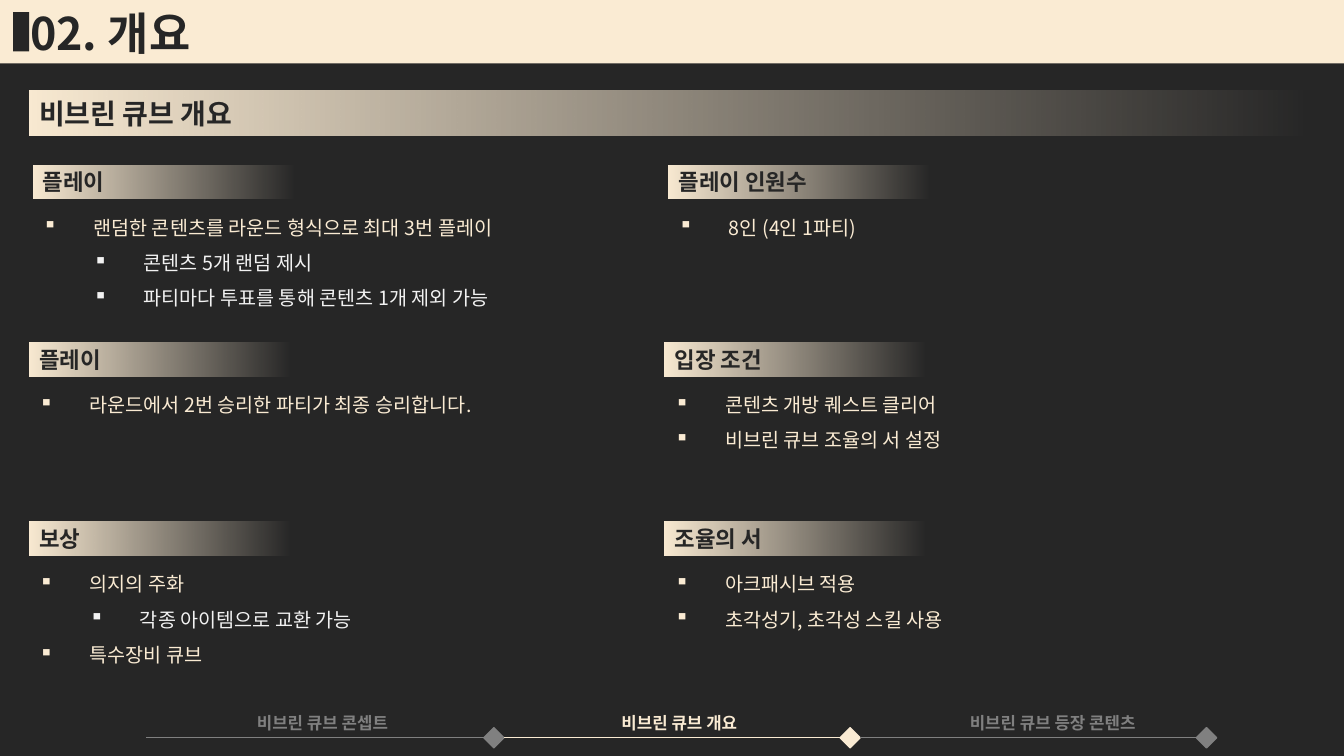
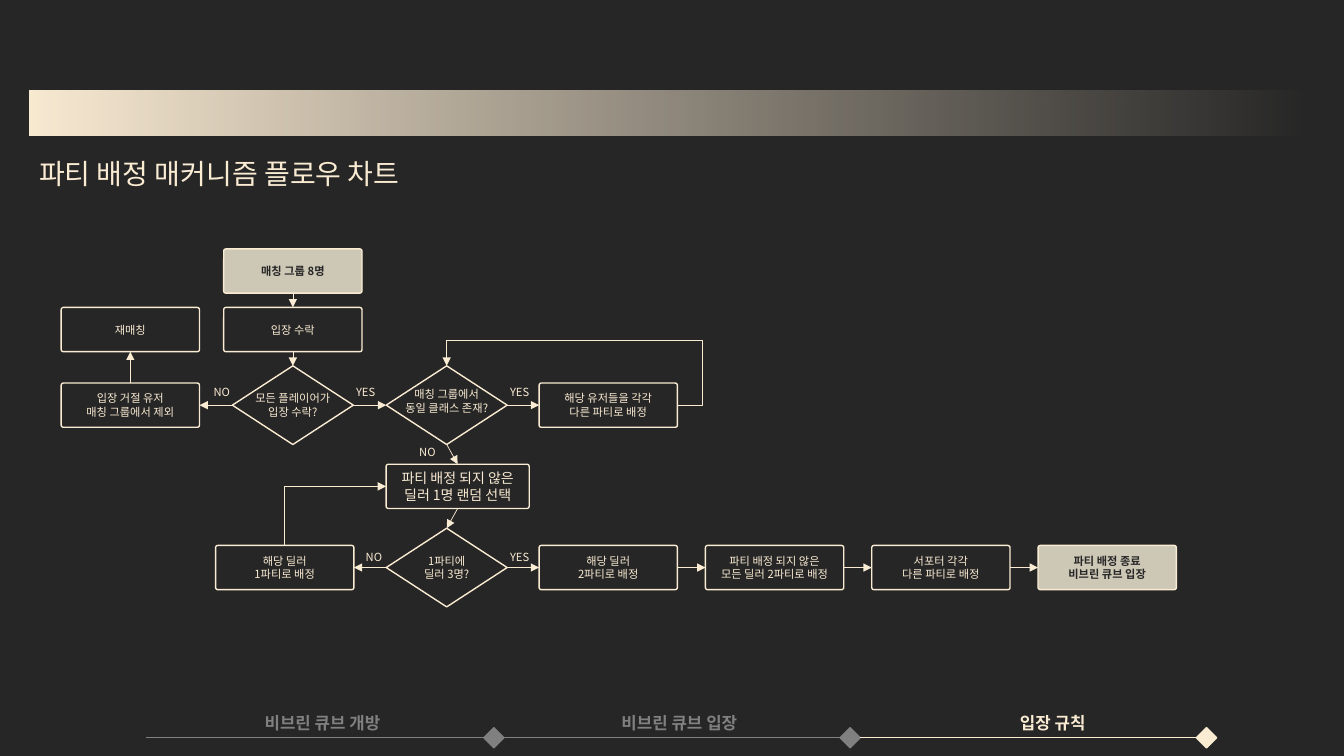
from dataclasses import dataclass

from lxml import etree
from pptx import Presentation
from pptx.dml.color import RGBColor
from pptx.enum.shapes import MSO_CONNECTOR, MSO_SHAPE
from pptx.enum.text import MSO_ANCHOR, PP_ALIGN
from pptx.oxml import parse_xml
from pptx.oxml.ns import nsdecls, qn
from pptx.util import Pt

RECT, ROUNDED, DIAMOND = MSO_SHAPE.RECTANGLE, MSO_SHAPE.ROUNDED_RECTANGLE, MSO_SHAPE.DIAMOND
STRAIGHT, ELBOW = MSO_CONNECTOR.STRAIGHT, MSO_CONNECTOR.ELBOW
LEFT, CENTER = PP_ALIGN.LEFT, PP_ALIGN.CENTER
TOP, MIDDLE = MSO_ANCHOR.TOP, MSO_ANCHOR.MIDDLE
SITE_TOP, SITE_LEFT, SITE_BOTTOM, SITE_RIGHT = range(4)


@dataclass(frozen=True)
class Theme:
    font: str = "Noto Sans CJK KR"
    dark: str = "262626"
    cream: str = "FAEBD3"
    sand: str = "CDC7B6"
    grey: str = "808080"
    pale: str = "F2F2F2"
    title: int = 32
    banner: int = 20
    heading: int = 16
    body: int = 14
    footer: int = 12
    emphasis: int = 10
    node: int = 8


theme = Theme()


def add_block(slide, kind, box, text="", size=theme.body, color=theme.cream, bold=False,
              align=LEFT, anchor=MIDDLE, fill=None, line=None, wrap=True):
    """Add a shape, or a text box when kind is None; fill "fade" runs from cream to clear."""
    area = [Pt(length) for length in box]
    if kind is None:
        block = slide.shapes.add_textbox(*area)
    else:
        block = slide.shapes.add_shape(kind, *area)
        block.shadow.inherit = False
        if kind == ROUNDED:
            block.adjustments[0] = 0.05
        if line:
            block.line.color.rgb = RGBColor.from_string(line)
            block.line.width = Pt(1)
        else:
            block.line.fill.background()
        if fill == "fade":
            block._element.spPr.find(qn("a:prstGeom")).addnext(parse_xml(
                f'<a:gradFill {nsdecls("a")} rotWithShape="1"><a:gsLst>'
                f'<a:gs pos="0"><a:srgbClr val="{theme.cream}"/></a:gs>'
                f'<a:gs pos="100000"><a:srgbClr val="{theme.cream}"><a:alpha val="0"/></a:srgbClr></a:gs>'
                '</a:gsLst><a:lin ang="0" scaled="0"/></a:gradFill>'))
        elif fill:
            block.fill.solid()
            block.fill.fore_color.rgb = RGBColor.from_string(fill)
        else:
            block.fill.background()
    frame = block.text_frame
    frame.word_wrap = wrap
    frame.vertical_anchor = anchor
    if text:
        frame.text = text
    for paragraph in frame.paragraphs:
        paragraph.alignment = align
        for run in paragraph.runs:
            run.font.size = Pt(size)
            run.font.bold = bold
            run.font.color.rgb = RGBColor.from_string(color)
            run.font.name = theme.font
            etree.SubElement(run.font._element, qn("a:ea"), typeface=theme.font)
    return block


def style_line(connector, color, arrow_end=None):
    connector.line.color.rgb = RGBColor.from_string(color)
    connector.line.width = Pt(0.5)
    properties = connector._element.spPr
    if arrow_end:
        etree.SubElement(properties.find(qn("a:ln")), qn(f"a:{arrow_end}"), type="triangle")
    etree.SubElement(properties, qn("a:effectLst"))


prs = Presentation()
prs.slide_width, prs.slide_height = Pt(960), Pt(540)

# Shared background, banner and progress footer
footers = [
    (("비브린 큐브 콘셉트", "비브린 큐브 개요", "비브린 큐브 등장 콘텐츠"), 1),
    (("비브린 큐브 개방", "비브린 큐브 입장", "입장 규칙"), 2),
]
label_centers = (230.4, 485.3, 752)
slides = []
for steps, current in footers:
    slide = prs.slides.add_slide(prs.slide_layouts[6])
    slides.append(slide)
    slide.background.fill.solid()
    slide.background.fill.fore_color.rgb = RGBColor.from_string(theme.dark)
    add_block(slide, RECT, (20.9, 64.8, 918, 31.8), fill="fade")
    previous = None
    for index, step in enumerate(steps):
        tint = theme.cream if index == current else theme.grey
        marker = add_block(slide, DIAMOND, (345.6 + 254.5 * index, 519.8, 14.4, 14.4),
                           fill=tint, line=tint)
        track = slide.shapes.add_connector(STRAIGHT, Pt(104.4), Pt(527), Pt(345.6), Pt(527))
        if previous:
            track.begin_connect(previous, SITE_RIGHT)
        track.end_connect(marker, SITE_LEFT)
        style_line(track, tint)
        add_block(slide, None, (label_centers[index] - 76, 505.4, 152, 21.6), step,
                  theme.footer, tint, True, CENTER)
        previous = marker
overview, flow = slides

# Overview: title band
add_block(overview, RECT, (0, 0, 960, 45.4), fill=theme.cream)
add_block(overview, None, (14.4, 0, 300, 46), "02. 개요", theme.title, theme.dark, True)
add_block(overview, RECT, (9.4, 8.6, 11.5, 28.1), fill=theme.dark)
add_block(overview, None, (20.9, 64.8, 258, 31.8), "비브린 큐브 개요",
          theme.banner, theme.dark, True)

# Overview: sections in two columns, each with (level, text) items
sections = [
    ("플레이", [(0, "랜덤한 콘텐츠를 라운드 형식으로 최대 3번 플레이"),
             (1, "콘텐츠 5개 랜덤 제시"),
             (1, "파티마다 투표를 통해 콘텐츠 1개 제외 가능")]),
    ("플레이 인원수", [(0, "8인 (4인 1파티)")]),
    ("플레이", [(0, "라운드에서 2번 승리한 파티가 최종 승리합니다.")]),
    ("입장 조건", [(0, "콘텐츠 개방 퀘스트 클리어"), (0, "비브린 큐브 조율의 서 설정")]),
    ("보상", [(0, "의지의 주화"), (1, "각종 아이템으로 교환 가능"), (0, "특수장비 큐브")]),
    ("조율의 서", [(0, "아크패시브 적용"), (0, "초각성기, 초각성 스킬 사용")]),
]
row_origins = [(23.6, 118), (20.9, 244.7), (20.9, 372.8)]
for index, (heading, items) in enumerate(sections):
    row, column = divmod(index, 2)
    left, top = row_origins[row]
    left += 454 * column
    add_block(overview, RECT, (left, top, 187.2, 24), heading,
              theme.heading, theme.dark, True, fill="fade")
    details = add_block(overview, None, (left, top + 24, 459.4, 4 + 25.5 * len(items)),
                        "\n".join(text for _, text in items), anchor=TOP)
    for paragraph, (level, _) in zip(details.text_frame.paragraphs, items):
        paragraph.level = level
        paragraph.line_spacing = 1.5
        if level:
            paragraph.runs[0].font.color.rgb = RGBColor.from_string(theme.pale)
        properties = paragraph._p.get_or_add_pPr()
        properties.set("marL", str(Pt(36 * (level + 1))))
        properties.set("indent", str(Pt(-36)))
        etree.SubElement(properties, qn("a:buChar"), char="▪")

# Flow chart: heading
flow_heading = add_block(flow, None, (20.9, 96.5, 540, 39.6), "파티 배정 매커니즘 플로우 차트",
                         theme.banner, anchor=TOP)
flow_heading.text_frame.paragraphs[0].line_spacing = 1.5

# Flow chart: steps as centre x, centre y, text
steps = {
    "group": (209.2, 193.6, "매칭 그룹 8명"),
    "accept": (209.2, 235.4, "입장 수락"),
    "rematch": (93.1, 235.4, "재매칭"),
    "exclude": (93.1, 289.4, "입장 거절 유저\v매칭 그룹에서 제외"),
    "separate": (434.5, 289.4, "해당 유저들을 각각\v다른 파티로 배정"),
    "select": (326.9, 347.4, "파티 배정 되지 않은 딜러 1명 랜덤 선택"),
    "first party": (203.4, 405.4, "해당 딜러\v1파티로 배정"),
    "second party": (434.5, 405.4, "해당 딜러\v2파티로 배정"),
    "remaining": (553.3, 405.4, "파티 배정 되지 않은\v모든 딜러 2파티로 배정"),
    "supporters": (672.1, 405.4, "서포터 각각\v다른 파티로 배정"),
    "finish": (790.9, 405.4, "파티 배정 종료\v비브린 큐브 입장"),
}
nodes = {}
for key, (x, y, text) in steps.items():
    terminal = key in ("group", "finish")
    width, size = (102.2, theme.emphasis) if key == "select" else (98.8, theme.node)
    nodes[key] = add_block(flow, ROUNDED, (x - width / 2, y - 15.8, width, 31.6), text, size,
                           theme.dark if terminal else theme.cream, terminal, CENTER,
                           fill=theme.sand if terminal else None, line=theme.cream)

# Flow chart: decisions, with the text raised by a bottom inset where given
decisions = {
    "all accepted": (209.2, 289.4, "모든 플레이어가\v입장 수락?", 0),
    "same class": (319.1, 289.4, "매칭 그룹에서\v동일 클래스 존재?", 6),
    "three dealers": (319.1, 405.4, "1파티에\v딜러 3명?", 0),
}
for key, (x, y, text, inset) in decisions.items():
    nodes[key] = add_block(flow, DIAMOND, (x - 43.2, y - 28.1, 86.4, 56.2), text, theme.node,
                           align=CENTER, line=theme.cream, wrap=False)
    nodes[key].text_frame.margin_top = 0
    nodes[key].text_frame.margin_bottom = Pt(inset)

# Flow chart: straight arrows
arrows = [
    ("group", SITE_BOTTOM, "accept", SITE_TOP),
    ("accept", SITE_BOTTOM, "all accepted", SITE_TOP),
    ("all accepted", SITE_LEFT, "exclude", SITE_RIGHT),
    ("exclude", SITE_TOP, "rematch", SITE_BOTTOM),
    ("all accepted", SITE_RIGHT, "same class", SITE_LEFT),
    ("same class", SITE_RIGHT, "separate", SITE_LEFT),
    ("same class", SITE_BOTTOM, "select", SITE_TOP),
    ("select", SITE_BOTTOM, "three dealers", SITE_TOP),
    ("three dealers", SITE_LEFT, "first party", SITE_RIGHT),
    ("three dealers", SITE_RIGHT, "second party", SITE_LEFT),
    ("second party", SITE_RIGHT, "remaining", SITE_LEFT),
    ("remaining", SITE_RIGHT, "supporters", SITE_LEFT),
    ("supporters", SITE_RIGHT, "finish", SITE_LEFT),
]
for source, source_site, target, target_site in arrows:
    arrow = flow.shapes.add_connector(STRAIGHT, 0, 0, 0, 0)
    arrow.begin_connect(nodes[source], source_site)
    arrow.end_connect(nodes[target], target_site)
    style_line(arrow, theme.cream, "tailEnd")

# Flow chart: bent return arrows
returns = [
    ("separate", SITE_RIGHT, "same class", SITE_TOP, "bentConnector4", (-10900, 164100), "tailEnd"),
    ("select", SITE_LEFT, "first party", SITE_TOP, "bentConnector2", (), "headEnd"),
]
for source, source_site, target, target_site, bend, offsets, arrow_end in returns:
    arrow = flow.shapes.add_connector(ELBOW, 0, 0, 0, 0)
    arrow.begin_connect(nodes[source], source_site)
    arrow.end_connect(nodes[target], target_site)
    geometry = arrow._element.spPr.find(qn("a:prstGeom"))
    geometry.set("prst", bend)
    for number, offset in enumerate(offsets, 1):
        etree.SubElement(geometry.find(qn("a:avLst")), qn("a:gd"),
                         name=f"adj{number}", fmla=f"val {offset}")
    style_line(arrow, theme.cream, arrow_end)

# Flow chart: branch labels by centre
branches = [("NO", 158.4, 280), ("YES", 261.2, 280), ("YES", 371.2, 280),
            ("NO", 305.3, 322.6), ("NO", 267.1, 398), ("YES", 371.2, 398)]
for answer, x, y in branches:
    add_block(flow, None, (x - 16, y - 9.4, 32, 18.8), answer, theme.node,
              align=CENTER, wrap=False)

prs.save("out.pptx")
